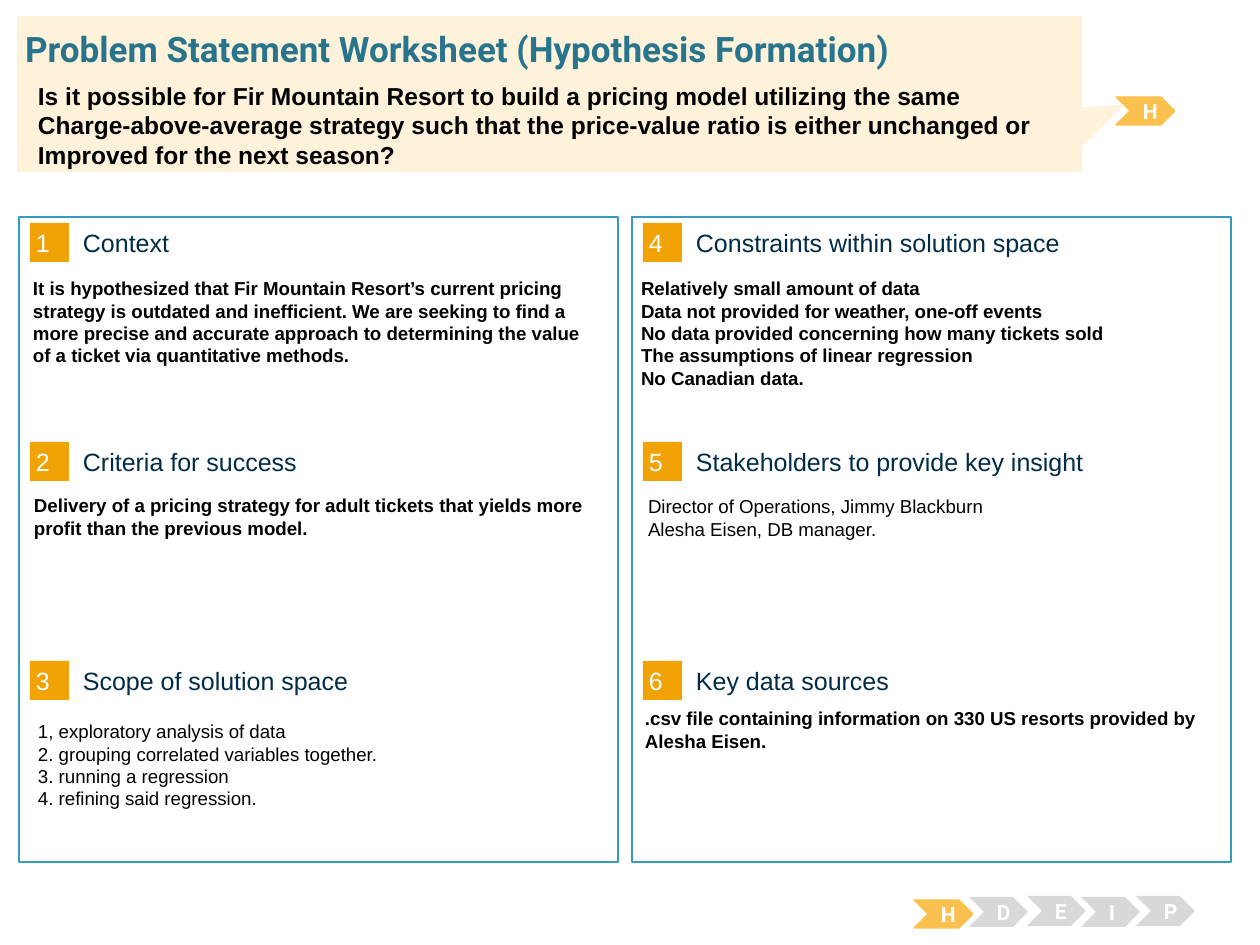
from dataclasses import dataclass

import pptx
import pptx.dml.color
import pptx.enum.shapes
import pptx.enum.text
import pptx.oxml.ns
import pptx.util
from lxml import etree

EMU_PER_PX = 914400 / 126
SHAPES = pptx.enum.shapes.MSO_SHAPE
ANCHORS = pptx.enum.text.MSO_ANCHOR
ALIGNS = pptx.enum.text.PP_ALIGN

COLUMN_STEP, ROW_STEP = 613, 219
GOLD, GREY = "FBC14E", "D8D8D8"

TITLE = {"name": "Roboto", "size": 20, "bold": True, "color": "29748D"}
QUESTION = {"name": "Arial", "size": 14, "bold": True, "color": "000000"}
BADGE = {"name": "Arial", "size": 14.3, "bold": False, "color": "FFFFFF"}
HEADING = {**BADGE, "color": "002C46"}
PLAIN = {"name": "Arial", "size": 10.7, "bold": False, "color": "000000"}
STRONG = {**PLAIN, "bold": True}
STEP = {"name": "Roboto", "size": 12, "bold": True, "color": "FFFFFF"}


@dataclass
class Box:
    left: int
    top: int
    width: int
    height: int

    def emu(self) -> list[int]:
        return [px(n) for n in (self.left, self.top, self.width, self.height)]


@dataclass
class Section:
    heading: str
    box: Box
    lines: list[str]
    style: dict
    placeholder: int | None = None


@dataclass
class Chevron:
    letter: str
    box: Box
    fill: str
    line: str | None = None


SECTIONS = [
    Section("Context", Box(20, 271, 596, 171), [
        "It is hypothesized that Fir Mountain Resort’s current pricing strategy is outdated "
        "and inefficient. We are seeking to find a more precise and accurate approach to "
        "determining the value of a ticket via quantitative methods."], STRONG),
    Section("Criteria for success", Box(21, 488, 596, 194), [
        "Delivery of a pricing strategy for adult tickets that yields more profit "
        "than the previous model."], STRONG),
    Section("Scope of solution space", Box(25, 714, 596, 103), [
        "1, exploratory analysis of data",
        "2. grouping correlated variables together.",
        "3. running a regression",
        "4. refining said regression."], PLAIN, placeholder=1),
    Section("Constraints within solution space", Box(628, 271, 596, 149), [
        "Relatively small amount of data",
        "Data not provided for weather, one-off events",
        "No data provided concerning how many tickets sold",
        "The assumptions of linear regression",
        "No Canadian data."], STRONG, placeholder=2),
    Section("Stakeholders to provide key insight", Box(635, 489, 596, 149), [
        "Director of Operations, Jimmy Blackburn",
        "Alesha Eisen, DB manager."], PLAIN),
    Section("Key data sources", Box(632, 701, 596, 149), [
        ".csv file containing information on 330 US resorts provided by Alesha Eisen."], STRONG),
]

CHEVRONS = [
    Chevron("H", Box(914, 900, 59, 28), GOLD, GOLD),
    Chevron("D", Box(969, 897, 59, 30), GREY),
    Chevron("E", Box(1027, 896, 59, 30), GREY),
    Chevron("I", Box(1081, 897, 59, 30), GREY),
    Chevron("P", Box(1136, 896, 59, 30), GREY),
    Chevron("H", Box(1116, 97, 59, 28), GOLD, GOLD),
]


def px(length: int) -> int:
    return round(length * EMU_PER_PX)


def color(code: str) -> pptx.dml.color.RGBColor:
    return pptx.dml.color.RGBColor.from_string(code)


def write(shape, lines: list[str], style: dict, align=ALIGNS.LEFT,
          anchor=ANCHORS.TOP, inset: tuple[int, int] = (13, 6)) -> None:
    """Fill a shape with one formatted paragraph per line."""
    frame = shape.text_frame
    across, down = map(px, inset)
    settings = {"word_wrap": True, "auto_size": pptx.enum.text.MSO_AUTO_SIZE.NONE,
                "vertical_anchor": anchor, "margin_left": across, "margin_right": across,
                "margin_top": down, "margin_bottom": down}
    for name, value in settings.items():
        setattr(frame, name, value)
    for index, line in enumerate(lines):
        para = frame.add_paragraph() if index else frame.paragraphs[0]
        para.alignment = align
        para.space_before = pptx.util.Pt(0)
        span = para.add_run()
        span.text = line
        font = {**style, "size": pptx.util.Pt(style["size"])}
        span.font.color.rgb = color(font.pop("color"))
        for name, value in font.items():
            setattr(span.font, name, value)


def add_block(page, kind, box: Box, fill: str, line: str | None = None, weight: float = 0.75):
    shape = page.shapes.add_shape(kind, *box.emu())
    shape.shadow.inherit = False
    shape.fill.solid()
    shape.fill.fore_color.rgb = color(fill)
    if line:
        shape.line.color.rgb = color(line)
        shape.line.width = pptx.util.Pt(weight)
    else:
        shape.line.fill.background()
    return shape


def add_text(page, box: Box, lines: list[str], style: dict, **layout) -> None:
    write(page.shapes.add_textbox(*box.emu()), lines, style, **layout)


def use_placeholder(page, index: int, box: Box, lines: list[str], style: dict, **layout) -> None:
    """Move a template placeholder to the front, without bullets, and fill it."""
    holder = next(item for item in page.placeholders if item.placeholder_format.idx == index)
    holder.left, holder.top, holder.width, holder.height = box.emu()
    holder.element.getparent().append(holder.element)
    write(holder, lines, style, **layout)
    for para in holder.element.iter(pptx.oxml.ns.qn("a:pPr")):
        para.set("marL", "0")
        para.set("indent", "0")
        etree.SubElement(para, pptx.oxml.ns.qn("a:buNone"))


def add_section(page, number: int, section: Section) -> None:
    column, row = divmod(number - 1, 3)
    left, top = 30 + column * COLUMN_STEP, 223 + row * ROW_STEP
    badge = add_block(page, SHAPES.RECTANGLE, Box(left, top, 39, 39), "F1A205")
    write(badge, [str(number)], BADGE, anchor=ANCHORS.MIDDLE, inset=(6, 6))
    add_text(page, Box(left + 53, top + 4, 495, 30), [section.heading], HEADING,
             anchor=ANCHORS.MIDDLE, inset=(0, 0))
    if section.placeholder:
        use_placeholder(page, section.placeholder, section.box, section.lines, section.style)
    else:
        add_text(page, section.box, section.lines, section.style)


def add_chevron(page, chevron: Chevron) -> None:
    shape = add_block(page, SHAPES.CHEVRON, chevron.box, chevron.fill, chevron.line)
    write(shape, [chevron.letter], STEP, align=ALIGNS.CENTER, anchor=ANCHORS.MIDDLE)


def main() -> None:
    deck = pptx.Presentation()
    deck.slide_width, deck.slide_height = px(1260), px(945)
    page = deck.slides.add_slide(deck.slide_layouts.get_by_name("Two Content"))

    # Two framed columns with three numbered sections each
    for column in range(2):
        add_block(page, SHAPES.RECTANGLE, Box(19 + column * COLUMN_STEP, 217, 599, 645),
                  "FFFFFF", "379BBD", 1.5)
    for number, section in enumerate(SECTIONS, 1):
        add_section(page, number, section)

    # Process steps at the foot and the current step beside the question
    for chevron in CHEVRONS:
        add_chevron(page, chevron)

    # Callout with title and question
    callout = add_block(page, SHAPES.RECTANGULAR_CALLOUT, Box(17, 16, 1065, 156), "FEF2DA")
    callout.adjustments[0], callout.adjustments[1] = 0.54, 0.07
    use_placeholder(page, 0, Box(25, 27, 1212, 43),
                    ["Problem Statement Worksheet (Hypothesis Formation)"], TITLE, inset=(0, 0))
    add_text(page, Box(25, 75, 1183, 68), [
        "Is it possible for Fir Mountain Resort to build a pricing model utilizing the same",
        "Charge-above-average strategy such that the price-value ratio is either unchanged or",
        "Improved for the next season?"], QUESTION)

    deck.save("out.pptx")


if __name__ == "__main__":
    main()
